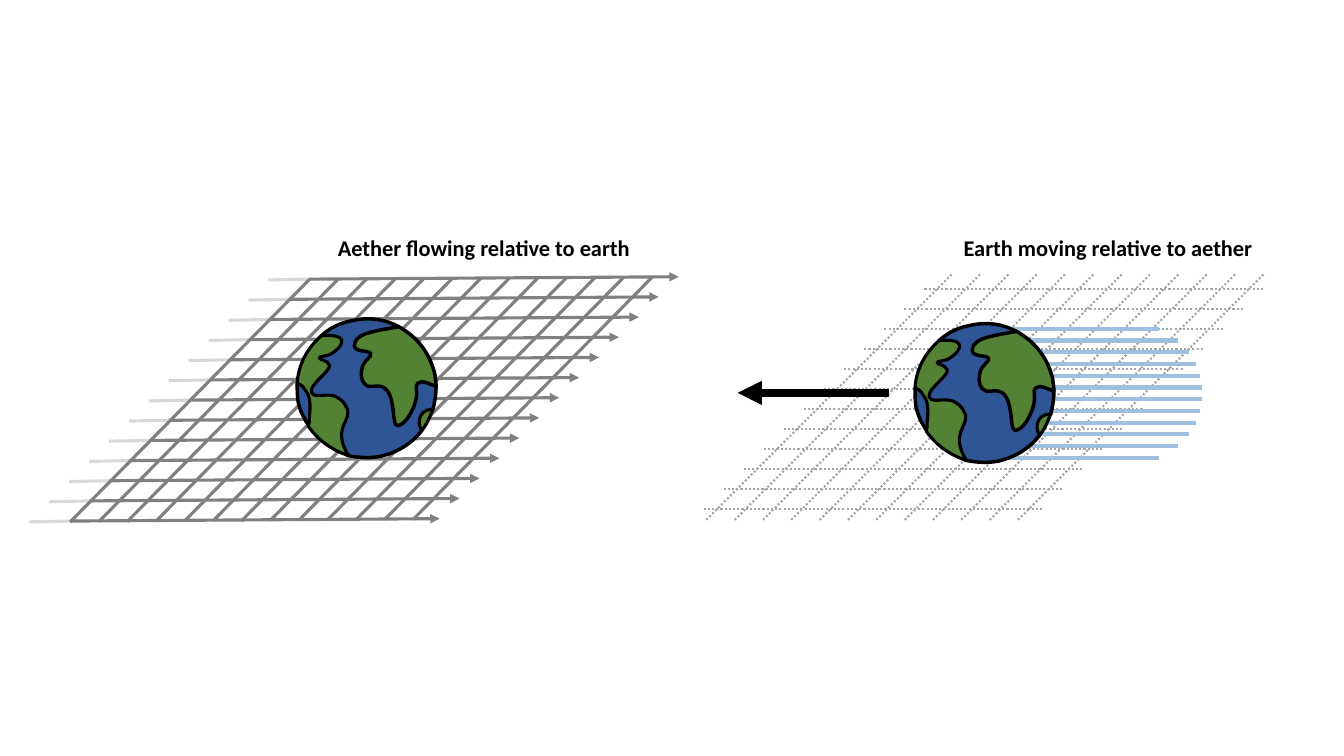
from collections import namedtuple
from math import sqrt

from lxml import etree
from pptx import Presentation
from pptx.dml.color import RGBColor
from pptx.enum.dml import MSO_LINE
from pptx.enum.shapes import MSO_CONNECTOR
from pptx.enum.text import MSO_AUTO_SIZE, PP_ALIGN
from pptx.oxml.ns import qn
from pptx.util import Cm, Pt

STRAIGHT = MSO_CONNECTOR.STRAIGHT
DOTTED = MSO_LINE.ROUND_DOT
FIT_SHAPE = MSO_AUTO_SIZE.SHAPE_TO_FIT_TEXT
CENTER = PP_ALIGN.CENTER

COLORS = {
    "ink": "000000",
    "flow": "808080",
    "grid": "A6A6A6",
    "streak": "9FBFDF",
    "ocean": "2F5597",
    "land": "548235",
}

Box = namedtuple("Box", "left top width height")
EARTH_SIZE = 3.5
EARTH_UNITS = 138

OCEAN = [
    (135, 62), (135, 63), (138, 66), (138, 67), (138, 75), (137, 82), (135, 90),
    (135, 90), (132, 92), (132, 92), (131, 96), (130, 97), (129, 99),
    (127, 102), (126, 104), (124, 107), (124, 107), (124, 111), (124, 111),
    (114, 124), (100, 133), (82, 137), (71, 139), (60, 138), (50, 136),
    (50, 136), (46, 132), (46, 131), (38, 127), (35, 125), (28, 120),
    (22, 116), (19, 112), (15, 107), (15, 106), (12, 108), (12, 107),
    (7, 100), (3, 92), (1, 83), (0, 76), (0, 70), (0, 64),
    (0, 64), (2, 63), (2, 63), (3, 55), (5, 48), (8, 41),
    (12, 32), (17, 25), (24, 19), (24, 19), (23, 17), (24, 17),
    (33, 9), (43, 4), (55, 2), (72, -2), (88, 1), (101, 8),
    (102, 9), (100, 12), (101, 12), (111, 17), (119, 25), (125, 34),
    (129, 41), (135, 59), (135, 62),
]
WEST_LAND = [
    (11, 107), (21, 121), (35, 131), (51, 136), (48, 131), (44, 124), (44, 115),
    (45, 103), (52, 99), (50, 90), (49, 89), (47, 82), (41, 79),
    (37, 76), (33, 76), (28, 76), (25, 76), (15, 78), (14, 73),
    (12, 65), (34, 52), (32, 46), (30, 41), (22, 41), (22, 39),
    (22, 37), (28, 38), (34, 35), (40, 31), (46, 25), (44, 21),
    (43, 17), (33, 16), (24, 17), (10, 29), (1, 46), (0, 64),
    (3, 65), (6, 67), (8, 71), (14, 78), (13, 89), (12, 99),
    (12, 103), (12, 105), (11, 107),
]
EAST_LAND = [
    (137, 56), (132, 34), (119, 18), (101, 8), (89, 10), (77, 12), (68, 15),
    (55, 20), (57, 27), (57, 28), (60, 34), (72, 31), (73, 35),
    (74, 38), (68, 40), (65, 47), (63, 53), (63, 61), (67, 65),
    (71, 70), (78, 65), (85, 68), (98, 73), (94, 106), (99, 106),
    (104, 107), (112, 99), (117, 84), (121, 72), (116, 67), (120, 64),
    (125, 60), (132, 66), (138, 67), (138, 63), (137, 59), (137, 56),
]
ISLAND = [
    (123, 96), (120, 101), (121, 107), (124, 111), (129, 105), (132, 97),
    (135, 90), (130, 90), (125, 92), (123, 96),
]
EARTH_PARTS = [
    (OCEAN, "ocean", 2.5),
    (WEST_LAND, "land", 2.25),
    (EAST_LAND, "land", 2.5),
    (ISLAND, "land", 2.25),
]


def color(name):
    return RGBColor.from_string(COLORS[name])


def add_line(shapes, start, end, tint, weight, dash=None, arrow=False, opacity=None):
    line = shapes.add_connector(STRAIGHT, *(Cm(v) for v in (*start, *end)))
    line.line.color.rgb = color(tint)
    line.line.width = Pt(weight)
    if dash:
        line.line.dash_style = dash
    properties = line._element.spPr
    outline = properties.find(qn("a:ln"))
    if arrow:
        etree.SubElement(outline, qn("a:tailEnd"), type="triangle")
    if opacity:
        tint_node = outline.find(qn("a:solidFill"))[0]
        etree.SubElement(tint_node, qn("a:alpha"), val=str(opacity * 1000))
    etree.SubElement(properties, qn("a:effectLst"))


def add_title(shapes, left, top, width, text):
    title = shapes.add_textbox(Cm(left), Cm(top), Cm(width), Cm(0.94))
    title.text_frame.word_wrap = True
    title.text_frame.auto_size = FIT_SHAPE
    paragraph = title.text_frame.paragraphs[0]
    paragraph.text = text
    paragraph.alignment = CENTER
    paragraph.font.name = "Calibri"
    paragraph.font.size = Pt(16)
    paragraph.font.bold = True
    paragraph.font.color.rgb = color("ink")


def bend_segments(shape):
    segments = list(shape._element.iter(qn("a:lnTo")))
    for i in range(0, len(segments), 3):
        curve = etree.Element(qn("a:cubicBezTo"))
        segments[i].addprevious(curve)
        for segment in segments[i:i + 3]:
            curve.append(segment[0])
            segment.getparent().remove(segment)


def add_earth(shapes, left, top):
    scale = Cm(EARTH_SIZE) / EARTH_UNITS
    for outline, fill, weight in EARTH_PARTS:
        coast = shapes.build_freeform(*outline[0], scale=scale)
        coast.add_line_segments(outline[1:], close=True)
        part = coast.convert_to_shape(Cm(left), Cm(top))
        bend_segments(part)
        part.fill.solid()
        part.fill.fore_color.rgb = color(fill)
        part.line.color.rgb = color("ink")
        part.line.width = Pt(weight)
        part.shadow.inherit = False


def add_aether_flow(slide, box):
    shapes = slide.shapes.add_group_shape().shapes
    bottom = box.top + box.height
    starts = [(box.left + 1.02 + 0.502 * i, bottom - 0.02 - 0.508 * i) for i in range(13)]
    for x, y in starts:
        add_line(shapes, (x - 1.02, y + 0.02), (x + 0.02, y), "flow", 2.25, opacity=30)
    for x, y in starts:
        add_line(shapes, (x, y), (x + 9.32, y - 0.06), "flow", 2.25, arrow=True)
    for i in range(13):
        x = box.left + 1.03 + 0.72 * i
        rise = 0.005 * i
        add_line(shapes, (x + 6.03, box.top + 1.25 - rise), (x, bottom - rise), "flow", 2.25)
    add_earth(shapes, box.left + 6.75, box.top + 2.24)
    add_title(shapes, box.left + 6.44, box.top - 0.01, 10.03, "Aether flowing relative to earth")


def add_earth_motion(slide, box):
    shapes = slide.shapes.add_group_shape().shapes
    bottom = box.top + box.height
    for i in range(12):
        x = box.left + 0.12 + 0.714 * i
        add_line(shapes, (x, bottom), (x + 6.19, box.top + 1.12), "grid", 1.5, DOTTED)
    for i in range(12):
        x, y = box.left + 14.15 - 0.506 * i, box.top + 1.5 + 0.504 * i
        add_line(shapes, (x, y), (x - 8.58, y), "grid", 1.5, DOTTED)

    earth_left, earth_top = box.left + 5.38, box.top + 2.36
    radius = EARTH_SIZE / 2
    for i in range(12):
        offset = 0.296 * (i - 5.5)
        x = earth_left + radius - 0.06 + sqrt(radius**2 - offset**2)
        y = earth_top + radius + 0.01 + offset
        add_line(shapes, (x + 3.81, y), (x, y), "streak", 3)
    add_earth(shapes, earth_left, earth_top)

    arrow_y = box.top + 4.11
    add_line(shapes, (box.left + 4.72, arrow_y), (box.left + 0.91, arrow_y),
             "ink", 5.75, arrow=True)
    add_title(shapes, box.left + 5.52, box.top - 0.01, 9.45, "Earth moving relative to aether")


def main():
    presentation = Presentation()
    presentation.slide_width = Cm(33.87)
    presentation.slide_height = Cm(19.05)
    slide = presentation.slides.add_slide(presentation.slide_layouts[6])
    add_aether_flow(slide, Box(0.74, 5.79, 16.45, 7.36))
    add_earth_motion(slide, Box(17.68, 5.79, 14.96, 7.31))
    presentation.save("out.pptx")


if __name__ == "__main__":
    main()
